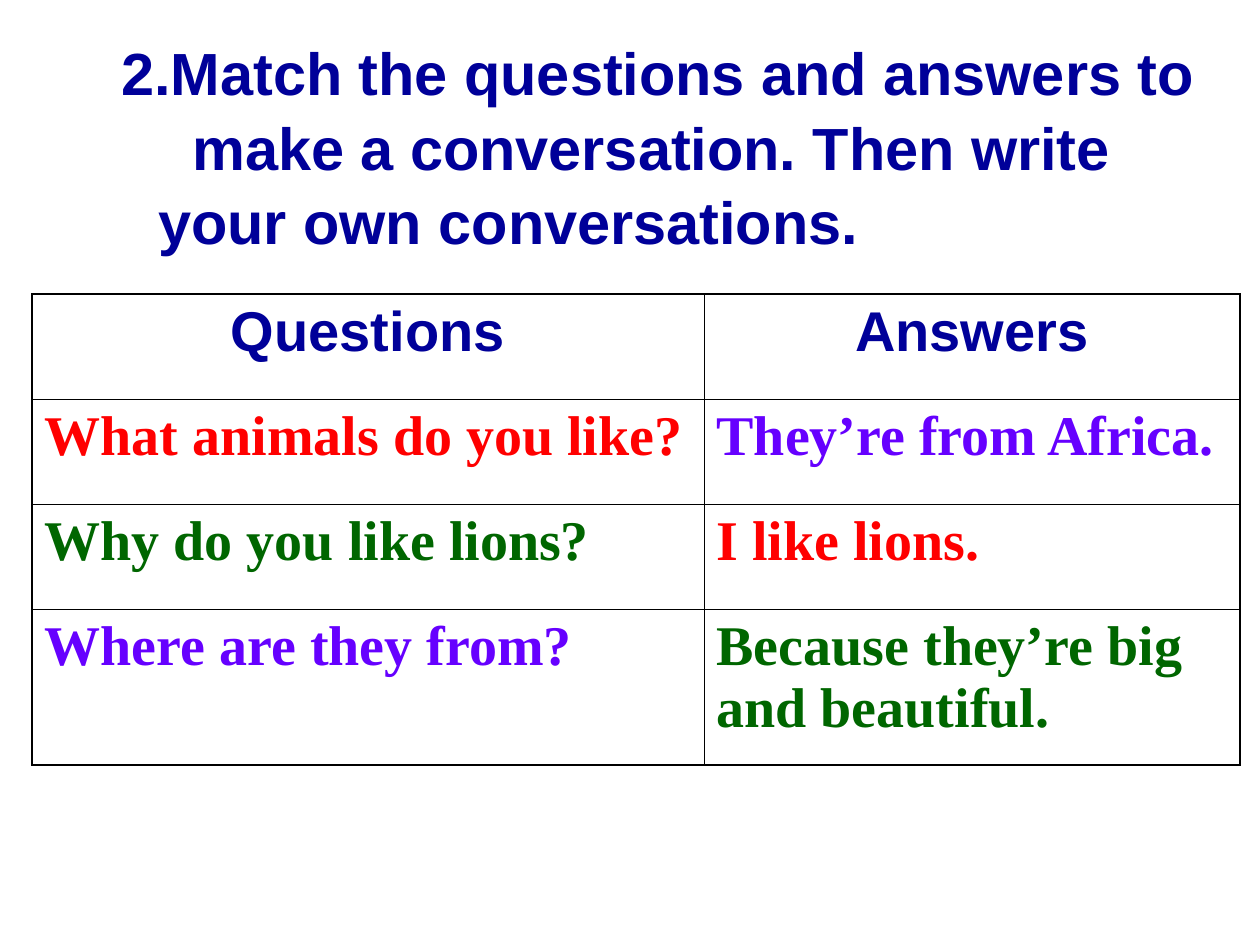
import pptx
import pptx.dml.color
import pptx.enum.text
import pptx.oxml
import pptx.oxml.ns
import pptx.util

PX = 914400 // 126
COLORS = {"navy": "000099", "red": "FF0000", "violet": "6600FF",
          "green": "006600", "black": "000000"}
ALIGN = pptx.enum.text.PP_ALIGN
HEADING, BODY = "Arial", "Times New Roman"
INNER, OUTER = 0.45, 1.08

TITLE = ["2.Match the questions and answers to",
         "make a conversation. Then write your own conversations."]
TITLE_MARGIN = 62
TITLE_INDENTS = [-37, 34]

COLUMNS = [672, 536]
ROWS = [105, 105, 105, 156]
CELLS = [
    [("Questions", "navy"), ("Answers", "navy")],
    [("What animals do you like?", "red"), ("They’re from Africa.", "violet")],
    [("Why do you like lions?", "green"), ("I like lions.", "red")],
    [("Where are they from?", "violet"),
     ("Because they’re big and beautiful.", "green")],
]


def px(n):
    return pptx.util.Emu(n * PX)


def write(p, text, size, font, color):
    p.text = text
    for r in p.runs:
        r.font.size = pptx.util.Pt(size)
        r.font.name = font
        r.font.bold = True
        r.font.color.rgb = pptx.dml.color.RGBColor.from_string(COLORS[color])


def add_title(s):
    tf = s.shapes.add_textbox(px(84), px(42), px(1134), px(205)).text_frame
    tf.word_wrap = True
    tf.vertical_anchor = pptx.enum.text.MSO_ANCHOR.MIDDLE
    for i, (text, indent) in enumerate(zip(TITLE, TITLE_INDENTS)):
        p = tf.add_paragraph() if i else tf.paragraphs[0]
        pPr = p._p.get_or_add_pPr()
        pPr.set("marL", str(px(TITLE_MARGIN)))
        pPr.set("indent", str(px(indent)))
        p.line_spacing = 1.05
        write(p, text, 34, HEADING, "navy")


def set_borders(cell, widths):
    """Draw solid cell borders; widths maps L, R, T, B to points."""
    tcPr = cell._tc.get_or_add_tcPr()
    for i, (side, width) in enumerate(widths.items()):
        ln = pptx.oxml.parse_xml(
            f'<a:ln{side} {pptx.oxml.ns.nsdecls("a")} w="{pptx.util.Pt(width)}">'
            f'<a:solidFill><a:srgbClr val="{COLORS["black"]}"/></a:solidFill>'
            f'</a:ln{side}>')
        tcPr.insert(i, ln)


def add_table(s):
    frame = s.shapes.add_table(len(ROWS), len(COLUMNS), px(32), px(294),
                               px(sum(COLUMNS)), px(sum(ROWS)))
    table = frame.table
    table.first_row = table.horz_banding = False
    for column, width in zip(table.columns, COLUMNS):
        column.width = px(width)
    for row, height in zip(table.rows, ROWS):
        row.height = px(height)
    last_row, last_col = len(ROWS) - 1, len(COLUMNS) - 1
    for i, row in enumerate(CELLS):
        for j, (text, color) in enumerate(row):
            cell = table.cell(i, j)
            cell.fill.background()
            p = cell.text_frame.paragraphs[0]
            write(p, text, 32, BODY if i else HEADING, color)
            p.alignment = ALIGN.LEFT if i else ALIGN.CENTER
            set_borders(cell, {
                "L": INNER if j else OUTER,
                "R": OUTER if j == last_col else INNER,
                "T": INNER if i else OUTER,
                "B": OUTER if i == last_row else INNER,
            })


def main():
    prs = pptx.Presentation()
    prs.slide_width, prs.slide_height = px(1260), px(945)
    s = prs.slides.add_slide(prs.slide_layouts[6])
    add_title(s)
    add_table(s)
    prs.save("out.pptx")


if __name__ == "__main__":
    main()
